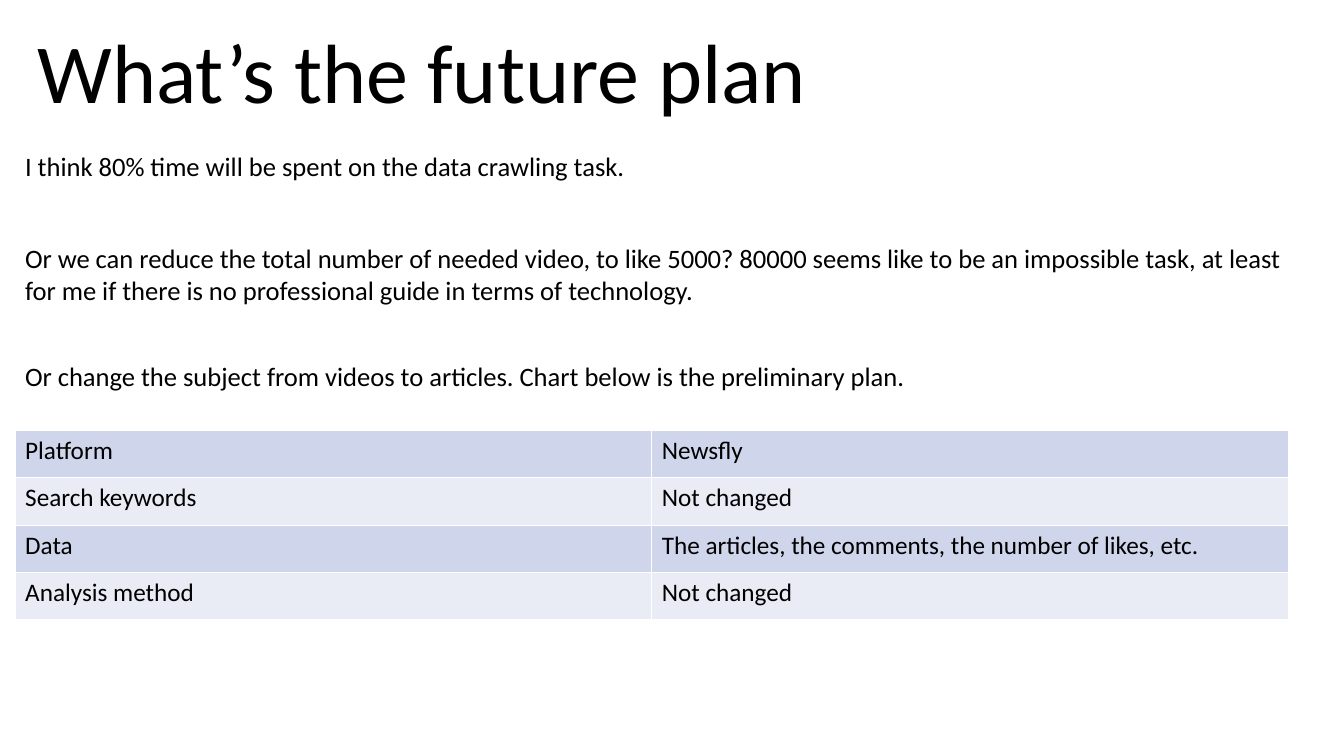
from lxml.etree import SubElement
from pptx import Presentation
from pptx.dml.color import RGBColor
from pptx.enum.text import MSO_ANCHOR, PP_ALIGN
from pptx.oxml.ns import qn
from pptx.util import Inches, Pt

BLACK = RGBColor(0x00, 0x00, 0x00)
WHITE = RGBColor(0xFF, 0xFF, 0xFF)
BANDS = (RGBColor(0xCF, 0xD5, 0xEA), RGBColor(0xE9, 0xEB, 0xF5))

TITLE = "What’s the future plan"
# Each paragraph: text, space before in points, line spacing
IDEAS = [
    ("I think 80% time will be spent on the data crawling task.", 0, 1.0),
    ("Or we can reduce the total number of needed video, to like 5000? "
     "80000 seems like to be an impossible task, at least for me if there is "
     "no professional guide in terms of technology.", 43, 1.0),
    ("Or change the subject from videos to articles. "
     "Chart below is the preliminary plan.", 41, 0.9),
]
PLAN = [
    ("Platform", "Newsfly"),
    ("Search keywords", "Not changed"),
    ("Data", "The articles, the comments, the number of likes, etc."),
    ("Analysis method", "Not changed"),
]


class SlideBuilder:
    """Holds the text style and the current slide."""

    font = "Calibri"
    color = BLACK

    def __init__(self, page):
        """Keep the slide to draw on."""
        self.page = page

    def set_text(self, para, text, size):
        """Fill a paragraph and format its runs."""
        para.text = text
        for span in para.runs:
            span.font.name = self.font
            span.font.size = Pt(size)
            span.font.color.rgb = self.color

    def add_text(self, left, top, width, height, items, size,
                 align=PP_ALIGN.LEFT, anchor=MSO_ANCHOR.TOP):
        """Add a wrapped text box of (text, space before, line spacing)."""
        box = self.page.shapes.add_textbox(
            Inches(left), Inches(top), Inches(width), Inches(height))
        frame = box.text_frame
        frame.word_wrap = True
        frame.vertical_anchor = anchor
        for index, (words, before, spacing) in enumerate(items):
            para = frame.add_paragraph() if index else frame.paragraphs[0]
            para.alignment = align
            para.space_before = Pt(before)
            para.line_spacing = spacing
            self.set_text(para, words, size)

    def add_border(self, cell, color, width):
        """Draw all four edges of a cell."""
        properties = cell._tc.get_or_add_tcPr()
        for position, edge in enumerate(("a:lnL", "a:lnR", "a:lnT", "a:lnB")):
            line = SubElement(properties, qn(edge), w=str(Pt(width)))
            fill = SubElement(line, qn("a:solidFill"))
            SubElement(fill, qn("a:srgbClr"), val=str(color))
            properties.insert(position, line)

    def add_table(self, left, top, width, row_height, rows, size):
        """Add a table with equal columns and alternating row fills."""
        table = self.page.shapes.add_table(
            len(rows), len(rows[0]), Inches(left), Inches(top),
            Inches(width), Inches(row_height * len(rows))).table
        table.first_row = False
        for row_index, row in enumerate(rows):
            for column_index, words in enumerate(row):
                cell = table.cell(row_index, column_index)
                cell.fill.solid()
                cell.fill.fore_color.rgb = BANDS[row_index % len(BANDS)]
                self.add_border(cell, WHITE, 1)
                self.set_text(cell.text_frame.paragraphs[0], words, size)


def main():
    """Build and save the slide."""
    deck = Presentation()
    deck.slide_width, deck.slide_height = Inches(13.33), Inches(7.5)
    builder = SlideBuilder(deck.slides.add_slide(deck.slide_layouts[6]))
    builder.add_text(0, 0, 8.37, 1.26, [(TITLE, 0, 0.9)], 60,
                     PP_ALIGN.CENTER, MSO_ANCHOR.BOTTOM)
    builder.add_text(0.15, 1.44, 12.85, 5.65, IDEAS, 19)
    builder.add_table(0.15, 4.27, 12.63, 0.47, PLAN, 18)
    deck.save("out.pptx")


main()
